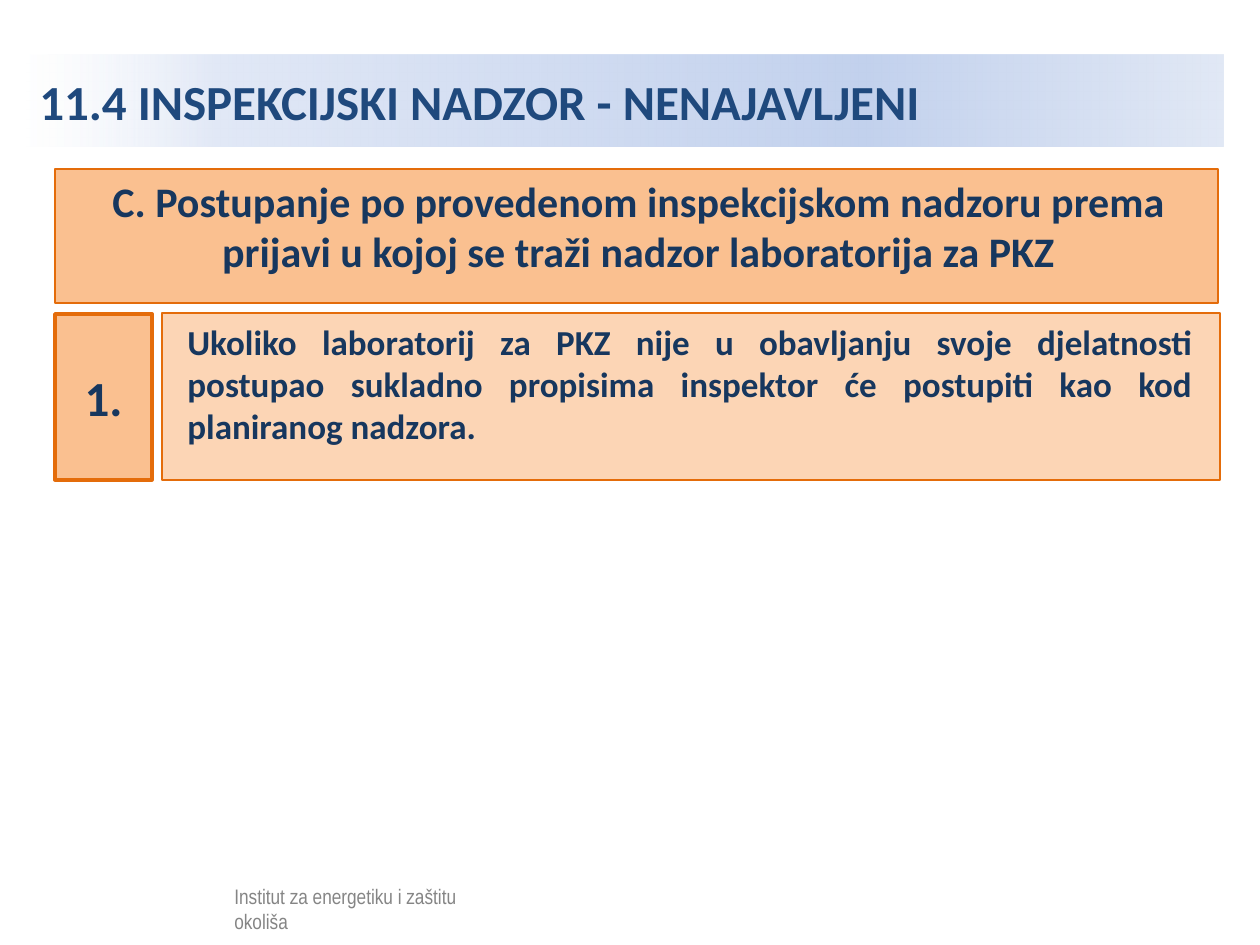
from lxml.etree import SubElement
from pptx import Presentation
from pptx.dml.color import RGBColor
from pptx.enum.shapes import MSO_SHAPE
from pptx.enum.text import MSO_ANCHOR, PP_ALIGN
from pptx.oxml.ns import qn
from pptx.util import Emu, Pt

PX = 914400 / 126
COLORS = {
    "blue": "1F497D", "navy": "17375E", "orange": "E46C0A",
    "peach": "FAC090", "light_peach": "FCD5B5",
    "white": "FFFFFF", "black": "000000",
}
# position in %, colour, opacity in %
TITLE_STOPS = [(0, "FFFFFF", 52), (16, "E1E8F6", 100),
               (70, "C2D1ED", 100), (100, "E1E8F5", 100)]


def px(value):
    return Emu(round(value * PX))


def color(name):
    return RGBColor.from_string(COLORS[name])


def add_alpha(color_element, percent):
    SubElement(color_element, qn("a:alpha"), val=str(percent * 1000))


def add_box(shapes, left, top, width, height, fill=None, line=None, weight=1.5):
    box = shapes.add_shape(MSO_SHAPE.RECTANGLE, px(left), px(top), px(width), px(height))
    box.shadow.inherit = False
    if fill:
        box.fill.solid()
        box.fill.fore_color.rgb = color(fill)
    if line:
        box.line.color.rgb = color(line)
        box.line.width = Pt(weight)
    else:
        box.line.fill.background()
    return box


def add_label(shapes, left, top, width, height):
    return shapes.add_textbox(px(left), px(top), px(width), px(height))


def write(box, text, size, ink="navy", font="Calibri", bold=True,
          align=PP_ALIGN.LEFT, anchor=MSO_ANCHOR.TOP):
    frame = box.text_frame
    frame.word_wrap = True
    frame.vertical_anchor = anchor
    para = frame.paragraphs[0]
    para.alignment = align
    span = para.add_run()
    span.text = text
    span.font.size = Pt(size)
    span.font.name = font
    span.font.bold = bold
    span.font.color.rgb = color(ink)


def fill_gradient(box, stops):
    box.fill.gradient()
    box.fill.gradient_angle = 0
    stop_list = box.element.spPr.find(qn("a:gradFill")).find(qn("a:gsLst"))
    for stop in list(stop_list):
        stop_list.remove(stop)
    for position, value, opacity in stops:
        stop = SubElement(stop_list, qn("a:gs"), pos=str(position * 1000))
        shade = SubElement(stop, qn("a:srgbClr"), val=value)
        if opacity < 100:
            add_alpha(shade, opacity)


def add_title(page, left, top, width, height):
    box = add_box(page.shapes, left, top, width, height)
    fill_gradient(box, TITLE_STOPS)
    write(box, "11.4 INSPEKCIJSKI NADZOR - NENAJAVLJENI", 28, ink="blue",
          anchor=MSO_ANCHOR.MIDDLE)


def add_footer(page, left, top, width, height):
    group = page.shapes.add_group_shape()
    label = add_label(group.shapes, left + 170, top + 4, 263, 32)
    write(label, "Institut za energetiku i zaštitu okoliša", 12, ink="black",
          font="Arial Narrow", bold=False)
    # Translucent veil that greys the text
    veil = add_box(group.shapes, left, top, width, height, fill="white")
    add_alpha(veil.element.spPr.find(qn("a:solidFill"))[0], 52)


def add_heading(page, left, top, width, height):
    add_box(page.shapes, left, top, width, height, fill="peach", line="orange")
    label = add_label(page.shapes, left + 2, top, width, 115)
    write(label, "C. Postupanje po provedenom inspekcijskom nadzoru prema prijavi "
          "u kojoj se traži nadzor laboratorija za PKZ", 24, align=PP_ALIGN.CENTER)


def add_step(page, left, top, width, height, number, text):
    number_width, gap = 97, 10
    card_left = left + number_width + gap
    card_width = width - number_width - gap
    add_box(page.shapes, card_left, top, card_width, height,
            fill="light_peach", line="orange")
    badge = add_box(page.shapes, left, top + 1, number_width, height - 1,
                    fill="peach", line="orange", weight=2)
    write(badge, number, 28, align=PP_ALIGN.CENTER, anchor=MSO_ANCHOR.MIDDLE)
    label = add_label(page.shapes, card_left + 13, top + 1, card_width - 28, height + 15)
    write(label, text, 20, align=PP_ALIGN.JUSTIFY)


def main():
    deck = Presentation()
    deck.slide_width, deck.slide_height = px(1260), px(945)
    page = deck.slides.add_slide(deck.slide_layouts[6])
    add_title(page, 27, 55, 1197, 92)
    add_footer(page, 52, 873, 481, 60)
    add_heading(page, 55, 169, 1163, 134)
    add_step(page, 55, 313, 1165, 167, "1.",
             "Ukoliko laboratorij za PKZ nije u obavljanju svoje djelatnosti postupao "
             "sukladno propisima inspektor će postupiti kao kod planiranog nadzora.")
    deck.save("out.pptx")


if __name__ == "__main__":
    main()
